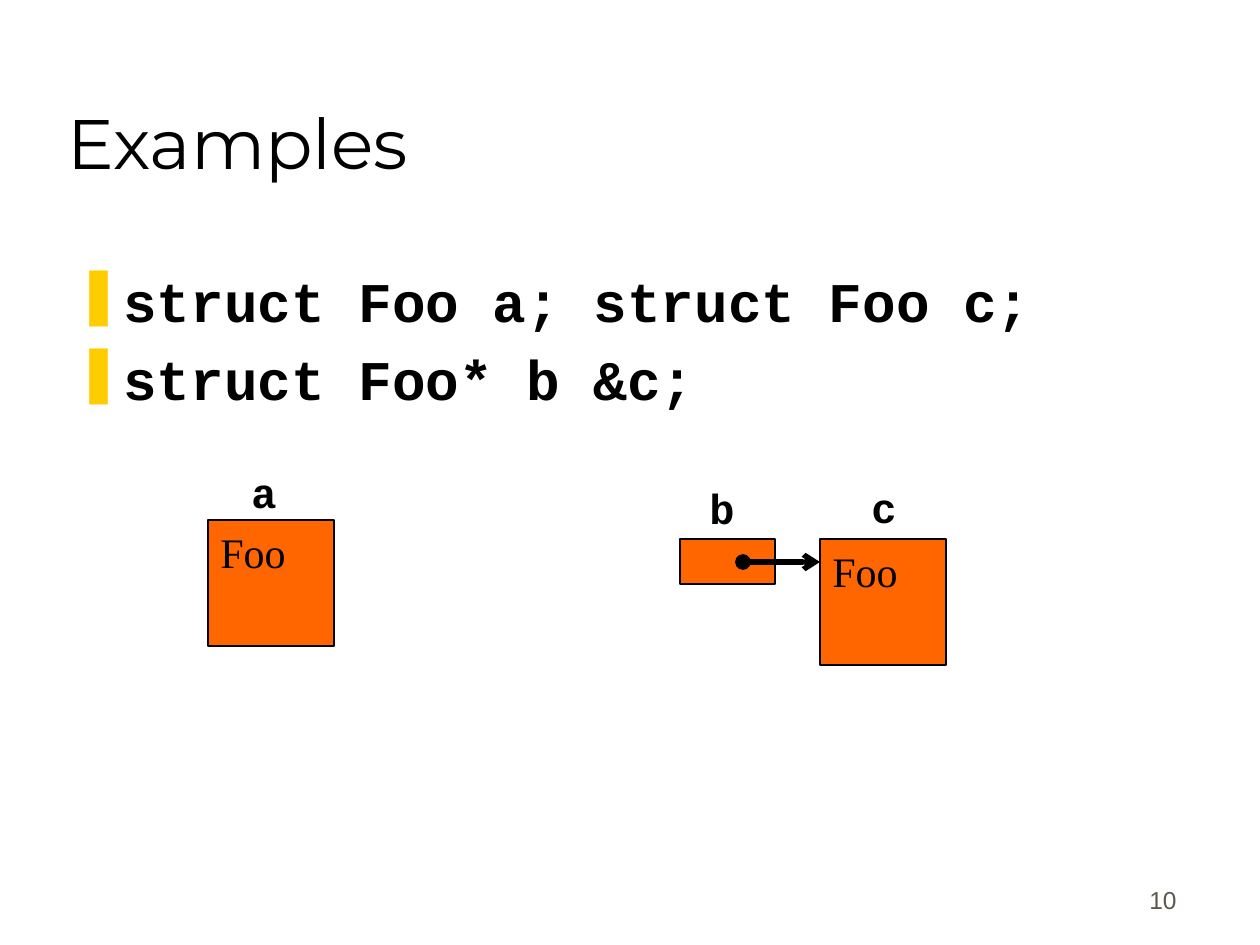
"""Build a slide comparing a struct variable with a pointer to a struct."""
from lxml import etree
from pptx import Presentation, util as u
from pptx.dml.color import RGBColor
from pptx.enum import shapes, text
from pptx.oxml import ns

PX = u.Inches(1) / 126
BLACK = RGBColor(0x00, 0x00, 0x00)
ORANGE = RGBColor(0xFF, 0x66, 0x00)
GREY = RGBColor(0x5E, 0x57, 0x4E)
BULLET_HEX = "FFCC00"
CODE_FONT = "Courier New"

TITLE = ("Examples", (55, 32, 1071, 158))
CODE = (["struct Foo a; struct Foo c;", "struct Foo* b &c;"], (63, 260, 1126, 575))
PAGE_NUMBER = ("10", (927, 858, 262, 63))
CELLS = [
    ("Foo", (208, 520, 126, 126)),
    ("Foo", (820, 539, 126, 126)),
    ("", (680, 539, 95, 45)),
]
LABELS = [("a", (239, 460)), ("b", (697, 476)), ("c", (859, 475))]
LABEL_SIZE = 63
POINTER = (743, 562, 820, 562)


def emu(lengths):
    return [round(length * PX) for length in lengths]


def style(para, font, size, color=BLACK, bold=False):
    for span in para.runs:
        span.font.name = font
        span.font.size = u.Pt(size)
        span.font.bold = bold
        span.font.color.rgb = color


def add_text(page, words, area):
    box = page.shapes.add_textbox(*emu(area))
    box.text_frame.word_wrap = True
    box.text_frame.text = words
    return box.text_frame


def add_bullet(para):
    properties = para._p.get_or_add_pPr()
    indent = u.Inches(0.38)
    properties.set("marL", str(indent))
    properties.set("indent", str(-indent))
    color = etree.SubElement(properties, ns.qn("a:buClr"))
    etree.SubElement(color, ns.qn("a:srgbClr"), val=BULLET_HEX)
    etree.SubElement(properties, ns.qn("a:buChar"), char="❚")


def add_title(page):
    words, area = TITLE
    title = page.shapes.title
    title.left, title.top, title.width, title.height = emu(area)
    frame = title.text_frame
    frame.text = words
    frame.vertical_anchor = text.MSO_ANCHOR.BOTTOM
    frame.paragraphs[0].alignment = text.PP_ALIGN.LEFT
    style(frame.paragraphs[0], "Montserrat", 40)


def add_code(page):
    lines, area = CODE
    frame = add_text(page, "\n".join(lines), area)
    for para in frame.paragraphs:
        para.space_before = u.Pt(6.4)
        add_bullet(para)
        style(para, CODE_FONT, 32, bold=True)


def add_page_number(page):
    frame = add_text(page, *PAGE_NUMBER)
    frame.vertical_anchor = text.MSO_ANCHOR.BOTTOM
    frame.paragraphs[0].alignment = text.PP_ALIGN.RIGHT
    style(frame.paragraphs[0], "Arial", 14, GREY)


def add_cell(page, words, area):
    cell = page.shapes.add_shape(shapes.MSO_SHAPE.RECTANGLE, *emu(area))
    cell.shadow.inherit = False
    cell.fill.solid()
    cell.fill.fore_color.rgb = ORANGE
    cell.line.color.rgb = BLACK
    cell.line.width = u.Pt(0.75)
    frame = cell.text_frame
    frame.text = words
    frame.word_wrap = False
    frame.vertical_anchor = text.MSO_ANCHOR.TOP
    frame.paragraphs[0].alignment = text.PP_ALIGN.LEFT
    style(frame.paragraphs[0], "Times New Roman", 24)


def add_label(page, words, corner):
    frame = add_text(page, words, (*corner, LABEL_SIZE, LABEL_SIZE))
    style(frame.paragraphs[0], CODE_FONT, 24, bold=True)


def add_pointer(page):
    arrow = page.shapes.add_connector(shapes.MSO_CONNECTOR.STRAIGHT, *emu(POINTER))
    arrow.line.color.rgb = BLACK
    arrow.line.width = u.Pt(3)
    line = arrow.line._get_or_add_ln()
    etree.SubElement(line, ns.qn("a:headEnd"), type="oval")
    etree.SubElement(line, ns.qn("a:tailEnd"), type="arrow")
    etree.SubElement(arrow._element.spPr, ns.qn("a:effectLst"))


def main():
    deck = Presentation()
    deck.slide_width, deck.slide_height = emu((1260, 945))
    page = deck.slides.add_slide(deck.slide_layouts[5])
    add_title(page)
    add_code(page)
    add_page_number(page)
    for words, area in CELLS:
        add_cell(page, words, area)
    for words, corner in LABELS:
        add_label(page, words, corner)
    add_pointer(page)
    deck.save("out.pptx")


if __name__ == "__main__":
    main()
